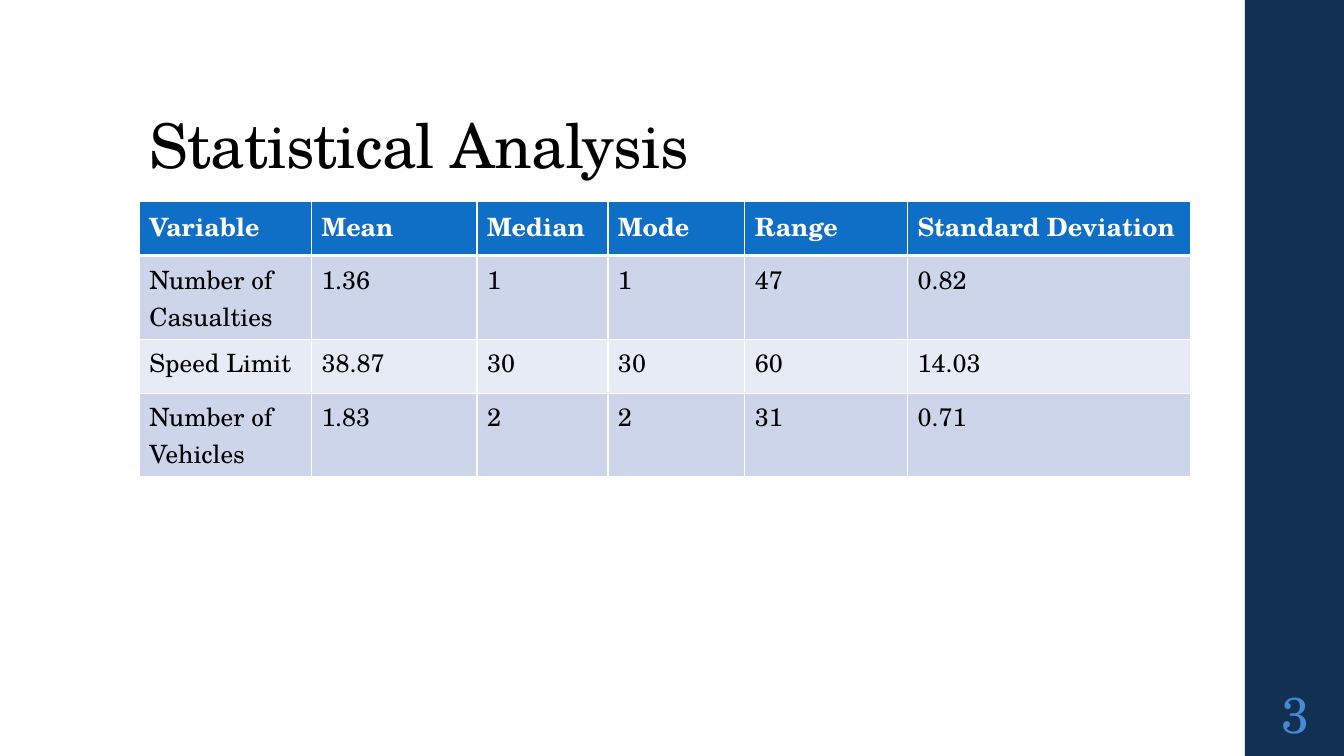
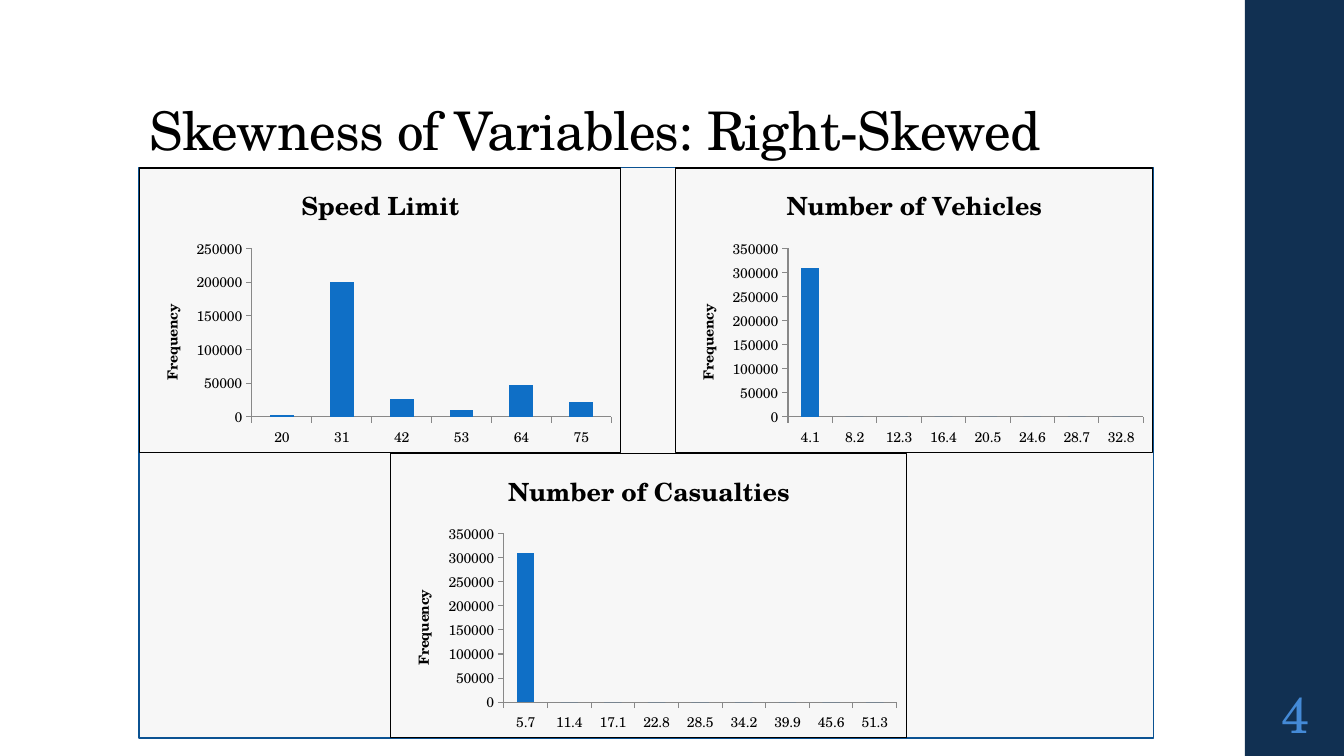
from dataclasses import dataclass
from typing import NamedTuple

from lxml.etree import SubElement
from pptx import Presentation
from pptx.chart.data import CategoryChartData
from pptx.dml.color import RGBColor
from pptx.enum.chart import XL_CHART_TYPE as ChartType, XL_TICK_MARK as TickMark
from pptx.enum.shapes import MSO_SHAPE as Preset
from pptx.enum.text import MSO_ANCHOR as Anchor, MSO_AUTO_SIZE as AutoSize, PP_ALIGN as Align
from pptx.oxml import parse_xml
from pptx.oxml.ns import nsdecls, qn
from pptx.util import Cm, Pt


@dataclass(frozen=True)
class Theme:
    font: str = "TeX Gyre Schola"
    ink: str = "000000"
    paper: str = "FFFFFF"
    band: str = "113052"
    number: str = "448AD7"
    accent: str = "0F6FC6"
    row_fills: tuple = ("CCD5EA", "E7EBF5")
    panel: str = "6F6F74"
    panel_line: str = "0B5292"
    axis: str = "888888"
    title_size: int = 44
    long_title_size: int = 38
    number_size: int = 36
    body_size: int = 18
    chart_size: int = 10


class Box(NamedTuple):
    """A rectangle in centimetres."""
    left: float
    top: float
    width: float
    height: float

    def lengths(self):
        return [Cm(value) for value in self]


THEME = Theme()
SLIDE_WIDTH, SLIDE_HEIGHT = 33.87, 19.05
LEFT_EDGE = 3.51
BAND = Box(31.37, 0, 2.5, SLIDE_HEIGHT)
NUMBER = Box(31.37, 17.15, 2.54, 1.65)

HEADINGS = ("Variable", "Mean", "Median", "Mode", "Range", "Standard Deviation")
STATISTICS = (
    ("Number of Casualties", "1.36", "1", "1", "47", "0.82"),
    ("Speed Limit", "38.87", "30", "30", "60", "14.03"),
    ("Number of Vehicles", "1.83", "2", "2", "31", "0.71"),
)
COLUMN_WIDTHS = (4.34, 4.17, 3.3, 3.45, 4.1, 7.13)
ROW_HEIGHTS = (1.36, 2.11, 1.36, 2.11)


class Histogram(NamedTuple):
    title: str
    bins: tuple
    counts: tuple
    top_value: int


SPEED_LIMIT = Histogram(
    "Speed Limit", ("20", "31", "42", "53", "64", "75"),
    (3000, 200000, 26000, 10000, 47000, 22000), 250000)
VEHICLES = Histogram(
    "Number of Vehicles",
    ("4.1", "8.2", "12.3", "16.4", "20.5", "24.6", "28.7", "32.8"),
    (310000, 0, 0, 0, 0, 0, 0, 0), 350000)
CASUALTIES = Histogram(
    "Number of Casualties",
    ("5.7", "11.4", "17.1", "22.8", "28.5", "34.2", "39.9", "45.6", "51.3"),
    (310000, 0, 0, 0, 0, 0, 0, 0, 0), 350000)


def style_font(font, size, color=THEME.ink, bold=False):
    font.name = THEME.font
    font.size = Pt(size)
    font.bold = bold
    font.color.rgb = RGBColor.from_string(color)


def paint(fill, color):
    fill.solid()
    fill.fore_color.rgb = RGBColor.from_string(color)


def add_rectangle(page, box, color):
    shape = page.shapes.add_shape(Preset.RECTANGLE, *box.lengths())
    shape.shadow.inherit = False
    paint(shape.fill, color)
    shape.line.fill.background()
    return shape


def add_layout_band(page):
    """Draw the side band and move it to the layout, behind its placeholders."""
    band = add_rectangle(page, BAND, THEME.band)
    page.slide_layout.shapes.element.insert(2, band.element)


def place_title(page, text, box, size):
    title = page.shapes.title
    title.left, title.top, title.width, title.height = box.lengths()
    frame = title.text_frame
    frame.text = text
    frame.word_wrap = True
    frame.auto_size = AutoSize.NONE
    frame.vertical_anchor = Anchor.BOTTOM
    para = frame.paragraphs[0]
    para.alignment = Align.LEFT
    para.line_spacing = 0.9
    span = para.runs[0]
    style_font(span.font, size)
    span.font._element.set("spc", "-50")


def add_page_number(page, number):
    frame = page.shapes.add_textbox(*NUMBER.lengths()).text_frame
    frame.text = str(number)
    frame.word_wrap = True
    frame.vertical_anchor = Anchor.MIDDLE
    frame.margin_left = frame.margin_right = Cm(0.13)
    para = frame.paragraphs[0]
    para.alignment = Align.CENTER
    style_font(para.runs[0].font, THEME.number_size, THEME.number)


def add_page(deck, number, title, title_top, title_size):
    page = deck.slides.add_slide(deck.slide_layouts[5])
    place_title(page, title, Box(LEFT_EDGE, title_top, 26.92, 3.68), title_size)
    add_page_number(page, number)
    return page


def set_cell_borders(cell, top_width, bottom_width):
    properties = cell._tc.get_or_add_tcPr()
    for side, width in (("L", 1), ("R", 1), ("T", top_width), ("B", bottom_width)):
        line = SubElement(properties, qn(f"a:ln{side}"), w=str(Pt(width)))
        SubElement(SubElement(line, qn("a:solidFill")), qn("a:srgbClr"), val=THEME.paper)


def fill_cell(cell, text, row):
    is_heading = row == 0
    set_cell_borders(cell, 3 if row == 1 else 1, 3 if is_heading else 1)
    paint(cell.fill, THEME.accent if is_heading else THEME.row_fills[(row - 1) % 2])
    cell.text = text
    style_font(cell.text_frame.paragraphs[0].runs[0].font, THEME.body_size,
               THEME.paper if is_heading else THEME.ink, is_heading)


def add_statistics_table(page, left, top):
    rows = (HEADINGS, *STATISTICS)
    box = Box(left, top, sum(COLUMN_WIDTHS), sum(ROW_HEIGHTS))
    table = page.shapes.add_table(len(rows), len(HEADINGS), *box.lengths()).table
    for column, width in zip(table.columns, COLUMN_WIDTHS):
        column.width = Cm(width)
    for row, (texts, height) in enumerate(zip(rows, ROW_HEIGHTS)):
        table.rows[row].height = Cm(height)
        for column, text in enumerate(texts):
            fill_cell(table.cell(row, column), text, row)


def set_heading(title, text, size):
    """Write the title of a chart or of an axis."""
    title.text_frame.text = text
    style_font(title.text_frame.paragraphs[0].runs[0].font, size, bold=True)


def set_chart_border(chart):
    border = parse_xml(
        f'<c:spPr {nsdecls("c", "a")}><a:noFill/><a:ln w="{Pt(0.75)}"><a:solidFill>'
        f'<a:srgbClr val="{THEME.ink}"/></a:solidFill></a:ln></c:spPr>')
    chart.element.find(qn("c:txPr")).addprevious(border)


def add_histogram(page, box, histogram):
    data = CategoryChartData()
    data.categories = histogram.bins
    data.add_series("Series 1", histogram.counts)
    chart = page.shapes.add_chart(ChartType.COLUMN_CLUSTERED, *box.lengths(), data).chart
    style_font(chart.font, THEME.chart_size)
    set_chart_border(chart)
    chart.has_legend = False
    set_heading(chart.chart_title, histogram.title, THEME.body_size)

    plot = chart.plots[0]
    plot.gap_width = 150
    plot.vary_by_categories = False
    paint(plot.series[0].format.fill, THEME.accent)

    for axis in (chart.category_axis, chart.value_axis):
        axis.has_major_gridlines = False
        axis.major_tick_mark = TickMark.OUTSIDE
        axis.format.line.width = Pt(0.75)
        axis.format.line.color.rgb = RGBColor.from_string(THEME.axis)
    value_axis = chart.value_axis
    value_axis.minimum_scale = 0
    value_axis.maximum_scale = histogram.top_value
    value_axis.major_unit = 50000
    set_heading(value_axis.axis_title, "Frequency", THEME.chart_size)


def add_histogram_panel(page, box):
    """Two charts in the upper corners and one below between them, on a pale panel."""
    panel = add_rectangle(page, box, THEME.panel)
    color = panel.fill._xPr.find(qn("a:solidFill"))[0]
    SubElement(color, qn("a:alpha"), val="5000")
    panel.line.color.rgb = RGBColor.from_string(THEME.panel_line)
    panel.line.width = Pt(1.1)

    half = box.height / 2
    left_width, right_width, lower_width = 12.15, 12.05, 13.03
    right = box.left + box.width - right_width
    lower_left = box.left + 6.33
    add_histogram(page, Box(box.left, box.top, left_width, half), SPEED_LIMIT)
    add_histogram(page, Box(right, box.top, right_width, half), VEHICLES)
    add_histogram(page, Box(lower_left, box.top + half, lower_width, half), CASUALTIES)


def main():
    deck = Presentation()
    deck.slide_width, deck.slide_height = Cm(SLIDE_WIDTH), Cm(SLIDE_HEIGHT)

    analysis = add_page(deck, 3, "Statistical Analysis", 1.02, THEME.title_size)
    add_layout_band(analysis)
    add_statistics_table(analysis, LEFT_EDGE, 5.08)

    skewness = add_page(deck, 4, "Skewness of Variables: Right-Skewed", 0.53,
                        THEME.long_title_size)
    add_histogram_panel(skewness, Box(LEFT_EDGE, 4.22, 25.56, 14.38))

    deck.save("out.pptx")


if __name__ == "__main__":
    main()
